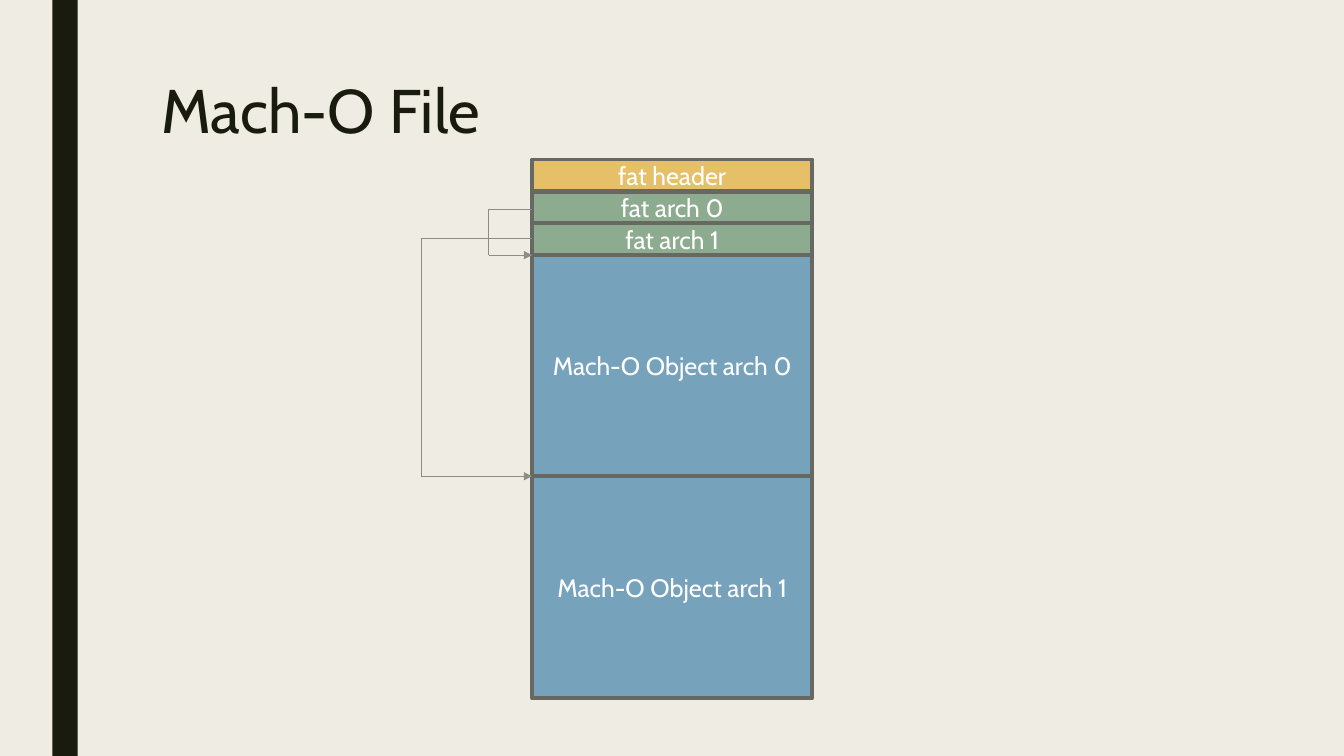
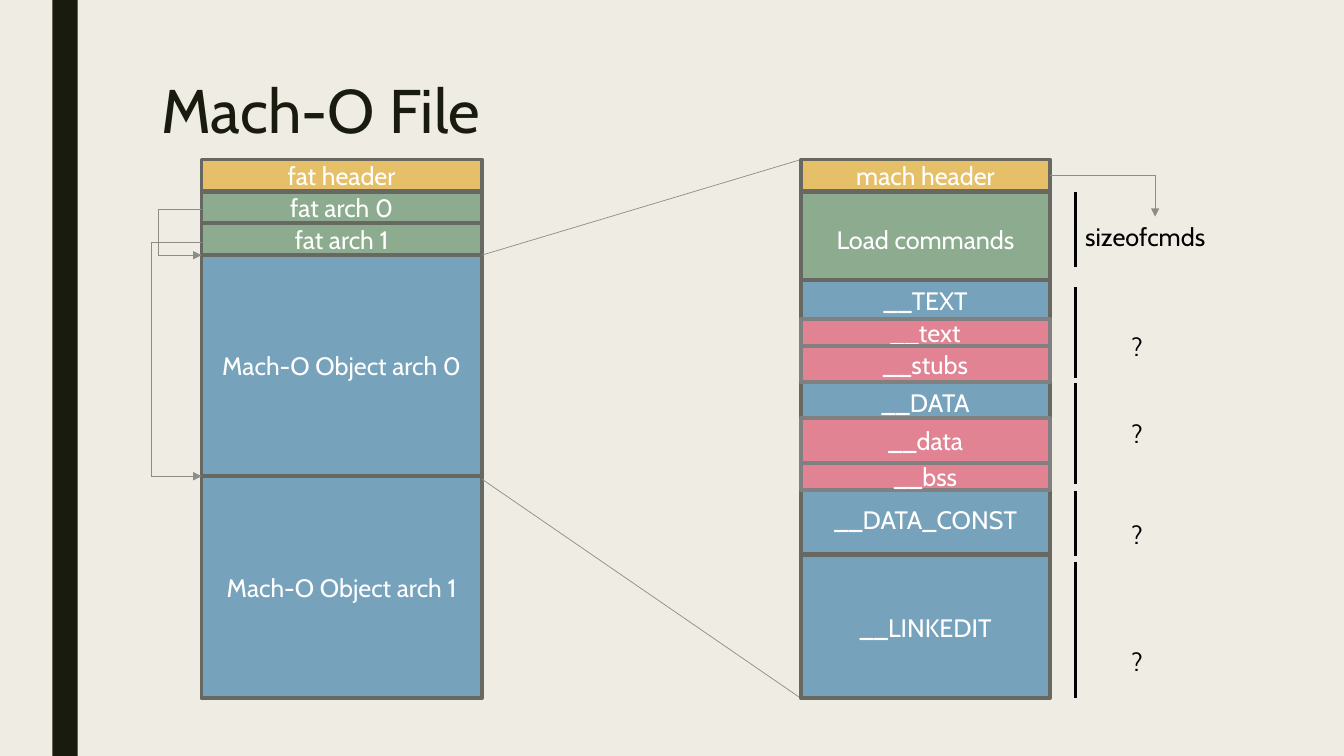
from dataclasses import dataclass
from typing import Any

from lxml.etree import SubElement
from pptx import Presentation
from pptx.dml.color import RGBColor
from pptx.enum.shapes import MSO_CONNECTOR, MSO_SHAPE
from pptx.enum.text import MSO_ANCHOR, PP_ALIGN
from pptx.oxml.ns import qn
from pptx.util import Cm, Pt

WIDTH, HEIGHT = 33.87, 19.05
TITLE_ONLY = 5
TOP, BOTTOM = 4.02, 17.6
ARCH_0, ARCH_1 = 6.43, 12
FAT_WIDTH = 7.06

# text, kind, top, height
FAT_ROWS = [
    ("fat header", "header", TOP, 0.8),
    ("fat arch 0", "command", 4.83, 0.8),
    ("fat arch 1", "command", 5.63, 0.8),
    ("Mach-O Object arch 0", "object", ARCH_0, 5.57),
    ("Mach-O Object arch 1", "object", ARCH_1, BOTTOM - ARCH_1),
]
MACH_ROWS = [
    ("mach header", "header", TOP, 0.8),
    ("Load commands", "command", 4.83, 2.41),
    ("__TEXT", "segment", 7.06, 2.74),
    ("__DATA", "segment", 9.63, 2.74),
    ("__DATA_CONST", "object", 12.19, 1.78),
    ("__LINKEDIT", "object", 14, 3.6),
    ("__text", "section", 8.03, 0.69),
    ("__stubs", "section", 8.72, 0.91),
    ("__data", "section", 10.54, 1.12),
    ("__bss", "section", 11.66, 0.69),
]
# fill, outline, anchor
KINDS = {
    "header": ("E6C069", "686863", MSO_ANCHOR.MIDDLE),
    "command": ("8DAB8E", "686863", MSO_ANCHOR.MIDDLE),
    "object": ("77A2BB", "686863", MSO_ANCHOR.MIDDLE),
    "segment": ("77A2BB", "686863", MSO_ANCHOR.TOP),
    "section": ("E28394", "808080", MSO_ANCHOR.MIDDLE),
}
SIZE_BARS = [(4.83, 6.73), (7.24, 9.53), (9.65, 12.19), (12.37, 14), (14.17, BOTTOM)]
UNKNOWN_TOPS = [8.23, 10.41, 12.95, 16.15]


def rgb(value):
    return RGBColor.from_string(value)


def set_format(obj, **values):
    for name, value in values.items():
        setattr(obj, name, value)


@dataclass
class Deck:
    prs: Any
    s: Any = None
    font: str = "Cabin"
    paper: str = "EFEDE3"
    ink: str = "191B0E"
    grey: str = "8C8D86"

    def setup(self):
        set_format(self.prs, slide_width=Cm(WIDTH), slide_height=Cm(HEIGHT))
        fill = self.prs.slide_master.background.fill
        fill.solid()
        fill.fore_color.rgb = rgb(self.paper)

    def slide(self, title):
        """Start a slide with the side band and its title."""
        self.s = self.prs.slides.add_slide(self.prs.slide_layouts[TITLE_ONLY])
        self.rect(1.32, 0, 0.64, HEIGHT, self.ink)
        sp = self.s.shapes.title
        set_format(sp, left=Cm(3.81), top=Cm(1.9), width=Cm(26.67), height=Cm(4.11))
        self.put_text(sp.text_frame, title, 44, self.ink, PP_ALIGN.LEFT)
        sp.text_frame.paragraphs[0].line_spacing = 0.89

    def put_text(self, tf, text, size, color, align, anchor=MSO_ANCHOR.TOP):
        set_format(tf, word_wrap=True, vertical_anchor=anchor)
        p = tf.paragraphs[0]
        p.alignment = align
        r = p.add_run()
        r.text = text
        set_format(r.font, name=self.font, size=Pt(size))
        r.font.color.rgb = rgb(color)

    def rect(self, x, y, w, h, fill, outline=None):
        sp = self.s.shapes.add_shape(MSO_SHAPE.RECTANGLE, Cm(x), Cm(y), Cm(w), Cm(h))
        sp.shadow.inherit = False
        sp.fill.solid()
        sp.fill.fore_color.rgb = rgb(fill)
        if outline:
            sp.line.color.rgb = rgb(outline)
            sp.line.width = Pt(2.75)
        else:
            sp.line.fill.background()
        return sp

    def label(self, x, y, w, text):
        sp = self.s.shapes.add_textbox(Cm(x), Cm(y), Cm(w), Cm(1.02))
        self.put_text(sp.text_frame, text, 18, "000000", PP_ALIGN.LEFT)

    def line(self, start, end, color=None, width=0.5, arrow=False, bent=False):
        """Draw a line; a bent one runs across first, then down."""
        kind = MSO_CONNECTOR.ELBOW if bent else MSO_CONNECTOR.STRAIGHT
        cxn = self.s.shapes.add_connector(kind, *map(Cm, (*start, *end)))
        cxn.line.color.rgb = rgb(color or self.grey)
        cxn.line.width = Pt(width)
        sp_pr = cxn._element.spPr
        if bent:
            sp_pr.find(qn("a:prstGeom")).set("prst", "bentConnector2")
        if arrow:
            SubElement(sp_pr.find(qn("a:ln")), qn("a:tailEnd"), type="triangle")
        SubElement(sp_pr, qn("a:effectLst"))

    def stack(self, x, width, rows):
        for text, kind, top, height in rows:
            fill, outline, anchor = KINDS[kind]
            sp = self.rect(x, top, width, height, fill, outline)
            self.put_text(sp.text_frame, text, 18, "FFFFFF", PP_ALIGN.CENTER, anchor)

    def fat_file(self, x, pointers):
        """Draw the fat file; each pointer is (start y, distance left, target y)."""
        self.stack(x, FAT_WIDTH, FAT_ROWS)
        for start, reach, target in pointers:
            self.line((x, start), (x - reach, target), bent=True)
            self.line((x - reach, target), (x, target), arrow=True)


def file_slide(deck):
    deck.slide("Mach-O File")
    deck.fat_file(13.41, [(5.28, 1.09, ARCH_0), (6, 2.79, ARCH_1)])


def detail_slide(deck):
    fat_x, mach_x, mach_width, bar_x = 5.08, 20.19, 6.27, 27.1
    deck.slide("Mach-O File")
    deck.fat_file(fat_x, [(5.28, 1.09, ARCH_0), (6.1, 1.27, ARCH_1)])
    for y, mach_y in ((ARCH_0, TOP), (12.07, BOTTOM)):
        deck.line((fat_x + FAT_WIDTH, y), (mach_x, mach_y))
    deck.stack(mach_x, mach_width, MACH_ROWS)
    for top, bottom in SIZE_BARS:
        deck.line((bar_x, top), (bar_x, bottom), "000000", 2.25)
    deck.label(bar_x, 5.46, 3.99, "sizeofcmds")
    for top in UNKNOWN_TOPS:
        deck.label(28.27, top, 3.45, "?")
    deck.line((mach_x + mach_width, 4.42), (29.11, 5.46), arrow=True, bent=True)


def main():
    prs = Presentation()
    deck = Deck(prs)
    deck.setup()
    file_slide(deck)
    detail_slide(deck)
    prs.save("out.pptx")


if __name__ == "__main__":
    main()
